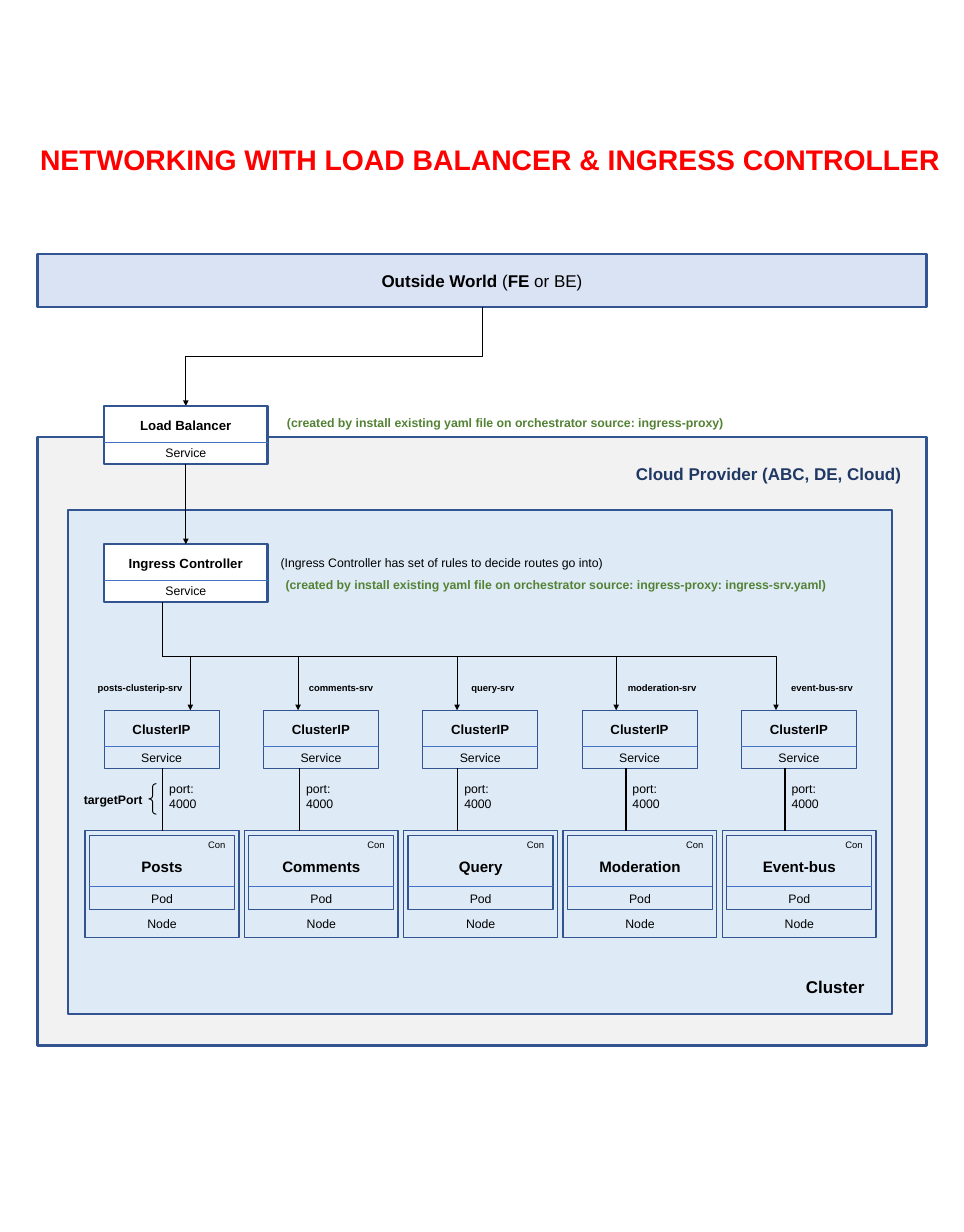
from lxml import etree
from pptx import Presentation
from pptx import util as u
from pptx.dml.color import RGBColor
from pptx.enum import shapes, text
from pptx.oxml.ns import qn

BLACK = RGBColor(0x00, 0x00, 0x00)
WHITE = RGBColor(0xFF, 0xFF, 0xFF)
RED = RGBColor(0xFF, 0x00, 0x00)
GREEN = RGBColor(0x54, 0x82, 0x35)
NAVY = RGBColor(0x20, 0x38, 0x64)
BORDER = RGBColor(0x32, 0x54, 0x91)
DIVIDER = RGBColor(0x44, 0x72, 0xC4)
WORLD_FILL = RGBColor(0xDA, 0xE3, 0xF3)
CLOUD_FILL = RGBColor(0xF2, 0xF2, 0xF2)
CLUSTER_FILL = RGBColor(0xDE, 0xEB, 0xF7)

HEADING = "NETWORKING WITH LOAD BALANCER & INGRESS CONTROLLER"
OUTSIDE_WORLD = [("Outside World ", True), ("(", False), ("FE", True), (" or BE)", False)]

APPS = [
    ("Posts", "posts-clusterip-srv", 3.23, 7.11, 6.07),
    ("Comments", "comments-srv", 10.74, 11.13, 11.18),
    ("Query", "query-srv", 16.41, 17.07, 17.09),
    ("Moderation", "moderation-srv", 22.73, 23.01, 23.37),
    ("Event-bus", "event-bus-srv", 28.7, 28.98, 29.31),
]
INSTALLED = "(created by install existing yaml file on orchestrator source: ingress-proxy"
NOTES = [
    ("Cloud Provider (ABC, DE, Cloud)", 23.11, 17.17, 11.18, 1.93, 18, True, NAVY),
    ("Cluster", 29.49, 36.32, 3.4, 1.09, 18, True, BLACK),
    ("(Ingress Controller has set of rules to decide routes go into)",
     9.91, 20.6, 13.16, 0.81, 13, False, BLACK),
    (INSTALLED + ")", 10.21, 15.37, 17.3, 0.81, 13, True, GREEN),
    (INSTALLED + ": ingress-srv.yaml)", 10.21, 21.44, 21.08, 0.81, 13, True, GREEN),
    ("targetPort", 2.74, 29.44, 2.97, 0.81, 13, True, BLACK),
]

GATEWAY_LEFT, GATEWAY_WIDTH = 3.89, 6.1
BALANCER_TOP, INGRESS_TOP = 15.16, 20.32
SERVICE_HEIGHT, SERVICE_SPLIT = 2.16, 1.35
NODE_LEFT, NODE_PITCH, NODE_WIDTH, NODE_TOP = 3.18, 5.95, 5.74, 31.01
POD_INSET, POD_WIDTH, POD_TOP, POD_SPLIT = 0.16, 5.41, 31.19, 33.1
CLUSTERIP_INSET, CLUSTERIP_WIDTH, CLUSTERIP_TOP = 0.71, 4.29, 26.52
CLUSTERIP_BOTTOM = CLUSTERIP_TOP + SERVICE_HEIGHT
ROUTE_X = 6.07

prs = Presentation()
prs.slide_width, prs.slide_height = u.Cm(36), u.Cm(46)
slide = prs.slides.add_slide(prs.slide_layouts[5])


def style(paragraph, size, bold, color, align):
    paragraph.alignment = align
    font = paragraph.font
    font.name, font.size, font.bold = "Arial", u.Pt(size), bold
    font.color.rgb = color


def label(wording, left, top, width, height, size=13, bold=False, color=BLACK,
          align=text.PP_ALIGN.CENTER):
    frame = slide.shapes.add_textbox(*map(u.Cm, (left, top, width, height))).text_frame
    frame.word_wrap = True
    frame.text = wording
    style(frame.paragraphs[0], size, bold, color, align)


def box(left, top, width, height, weight, fill=None, color=BORDER,
        kind=shapes.MSO_SHAPE.RECTANGLE):
    shape = slide.shapes.add_shape(kind, *map(u.Cm, (left, top, width, height)))
    shape.shadow.inherit = False
    if fill is None:
        shape.fill.background()
    else:
        shape.fill.solid()
        shape.fill.fore_color.rgb = fill
    shape.line.color.rgb, shape.line.width = color, u.Pt(weight)
    return shape


def line(x1, y1, x2, y2, color=BLACK, weight=1, arrow=False,
         kind=shapes.MSO_CONNECTOR.STRAIGHT):
    connector = slide.shapes.add_connector(kind, *map(u.Cm, (x1, y1, x2, y2)))
    connector.line.color.rgb, connector.line.width = color, u.Pt(weight)
    if arrow:
        etree.SubElement(connector.line._get_or_add_ln(), qn("a:tailEnd"), type="triangle")
    etree.SubElement(connector._element.spPr, qn("a:effectLst"))
    return connector


def bent_arrow(x1, y1, x2, y2):
    half_run, half_rise = (y2 - y1) / 2, abs(x2 - x1) / 2
    mid_x, mid_y = (x1 + x2) / 2, (y1 + y2) / 2
    side = 1 if x2 > x1 else -1
    connector = line(mid_x + side * half_run, mid_y - half_rise,
                     mid_x - side * half_run, mid_y + half_rise,
                     arrow=True, kind=shapes.MSO_CONNECTOR.ELBOW)
    degrees = 270 if side > 0 else 90
    connector._element.spPr.find(qn("a:xfrm")).set("rot", str(degrees * 60000))


def service(name, left, top, width, weight, fill=None):
    box(left, top, width, SERVICE_HEIGHT, weight, fill)
    line(left, top + SERVICE_SPLIT, left + width, top + SERVICE_SPLIT, DIVIDER)
    label("Service", left, top + SERVICE_SPLIT, width, 0.81)
    label(name, left, top + 0.3, width, 0.86, 14, True)


def node(name, left):
    pod_left = left + POD_INSET
    box(pod_left, POD_TOP, POD_WIDTH, 2.77, 1.5)
    line(pod_left, POD_SPLIT, pod_left + POD_WIDTH, POD_SPLIT, DIVIDER, 1.5)
    label("Pod", left, 33.15, NODE_WIDTH, 0.81)
    box(left, NODE_TOP, NODE_WIDTH, 3.99, 1.5)
    label("Node", left, 34.09, NODE_WIDTH, 0.81)
    label(name, left, 31.88, NODE_WIDTH, 0.94, 16, True)
    label("Con", left + 4.24, POD_TOP, 1.35, 0.69, 10)


heading = slide.shapes.title
heading.left, heading.top, heading.width, heading.height = map(u.Cm, (1.24, 5.18, 34.65, 1.55))
heading.text_frame.text = HEADING
heading.text_frame.auto_size = text.MSO_AUTO_SIZE.NONE
heading.text_frame.vertical_anchor = text.MSO_ANCHOR.TOP
style(heading.text_frame.paragraphs[0], 30, True, RED, text.PP_ALIGN.LEFT)

world = box(1.4, 9.47, 33.2, 2.01, 2.25, WORLD_FILL).text_frame
world.vertical_anchor = text.MSO_ANCHOR.MIDDLE
style(world.paragraphs[0], 18, None, BLACK, text.PP_ALIGN.CENTER)
for wording, bold in OUTSIDE_WORLD:
    run = world.paragraphs[0].add_run()
    run.text, run.font.bold = wording, bold

gateway_x = GATEWAY_LEFT + GATEWAY_WIDTH / 2
bent_arrow(18, 11.48, gateway_x, BALANCER_TOP)
box(1.4, 16.33, 33.2, 22.71, 2.25, CLOUD_FILL)
service("Load Balancer", GATEWAY_LEFT, BALANCER_TOP, GATEWAY_WIDTH, 2.25, WHITE)
box(2.54, 19.05, 30.76, 18.82, 2.25, CLUSTER_FILL)
service("Ingress Controller", GATEWAY_LEFT, INGRESS_TOP, GATEWAY_WIDTH, 2.25, WHITE)
line(gateway_x, BALANCER_TOP + SERVICE_HEIGHT, gateway_x, INGRESS_TOP, arrow=True)

for index, (name, service_name, service_left, arrow_x, port_x) in enumerate(APPS):
    left = NODE_LEFT + index * NODE_PITCH
    node(name, left)
    service("ClusterIP", left + CLUSTERIP_INSET, CLUSTERIP_TOP, CLUSTERIP_WIDTH, 1)
    line(port_x, CLUSTERIP_BOTTOM, port_x, NODE_TOP, weight=1.5)
    label("port: 4000", port_x, 29.06, 2.08, 1.37, align=text.PP_ALIGN.LEFT)
    label(service_name, service_left, 25.33, 3.99, 0.69, 10, True)
    bent_arrow(ROUTE_X, INGRESS_TOP + SERVICE_HEIGHT, arrow_x, CLUSTERIP_TOP)

brace = box(5.56, 29.26, 0.28, 1.14, 1, color=BLACK, kind=shapes.MSO_SHAPE.LEFT_BRACE)
brace.adjustments[0] = 0.4
for note in NOTES:
    label(*note)

prs.save("out.pptx")
